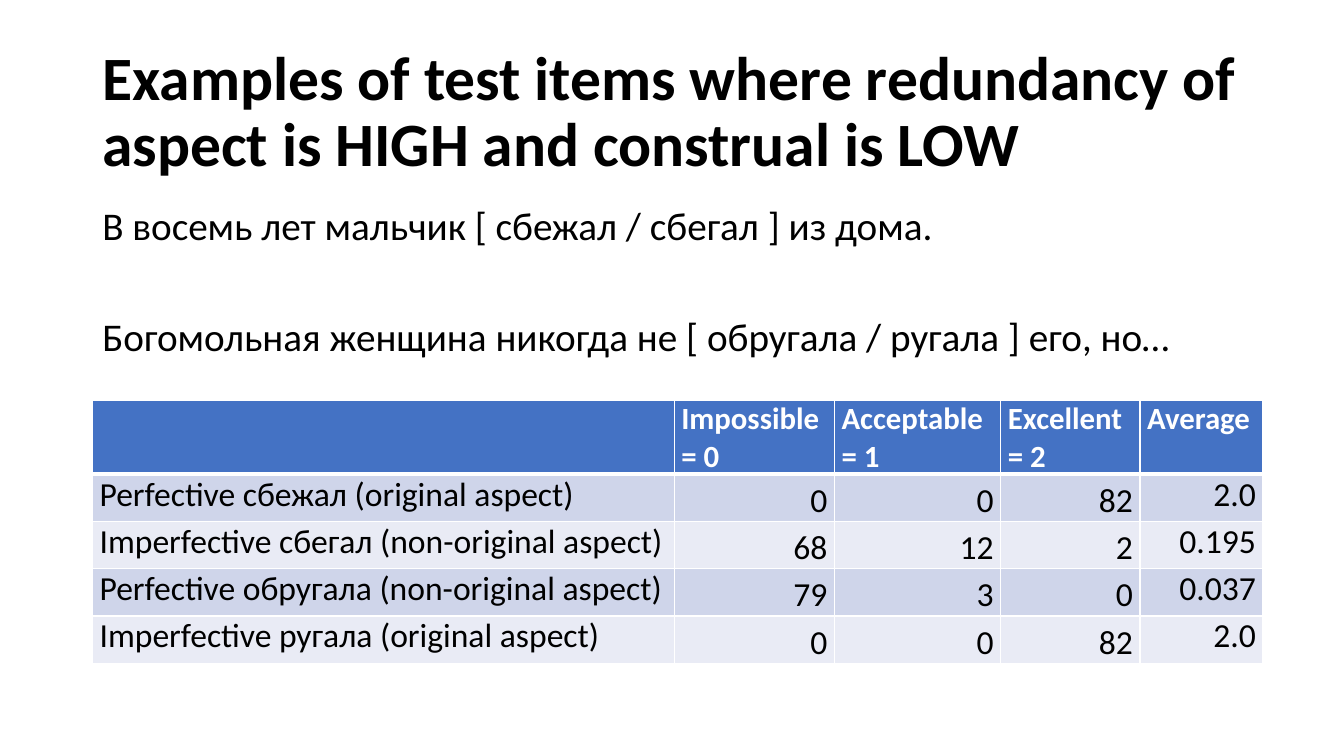
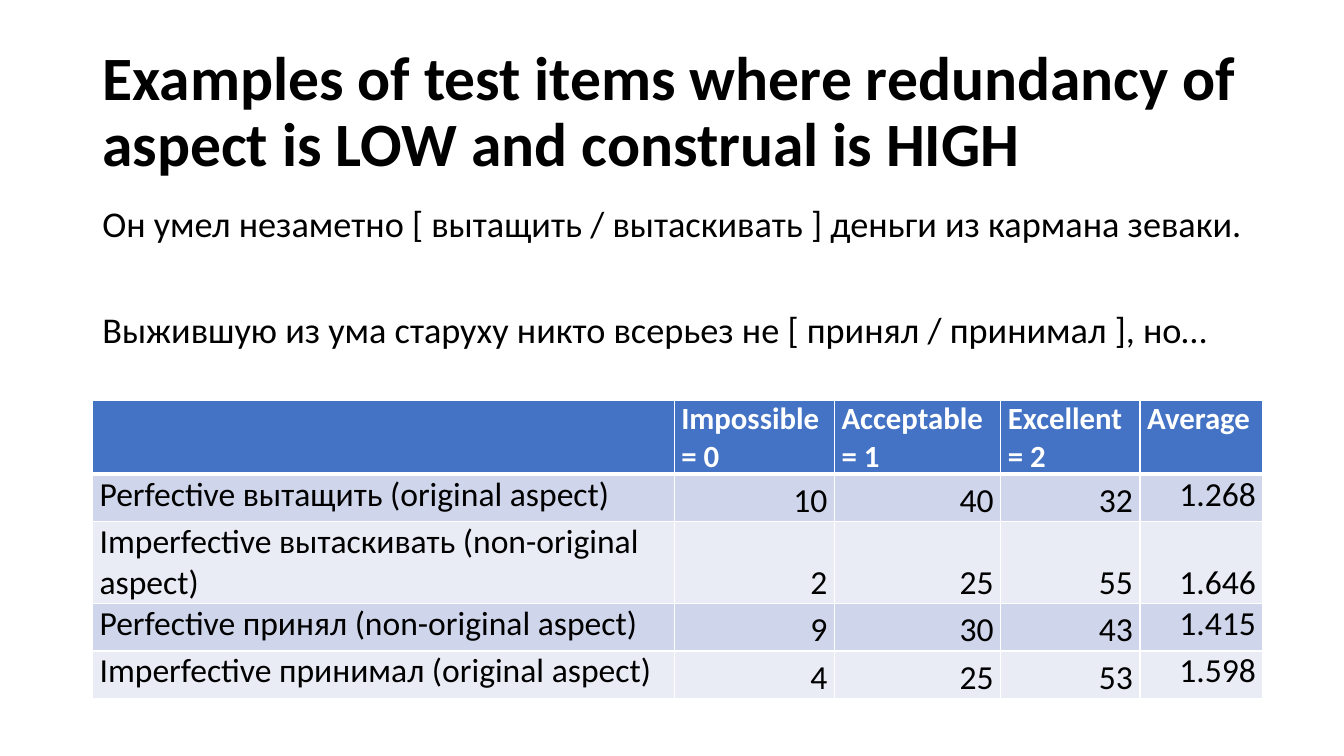
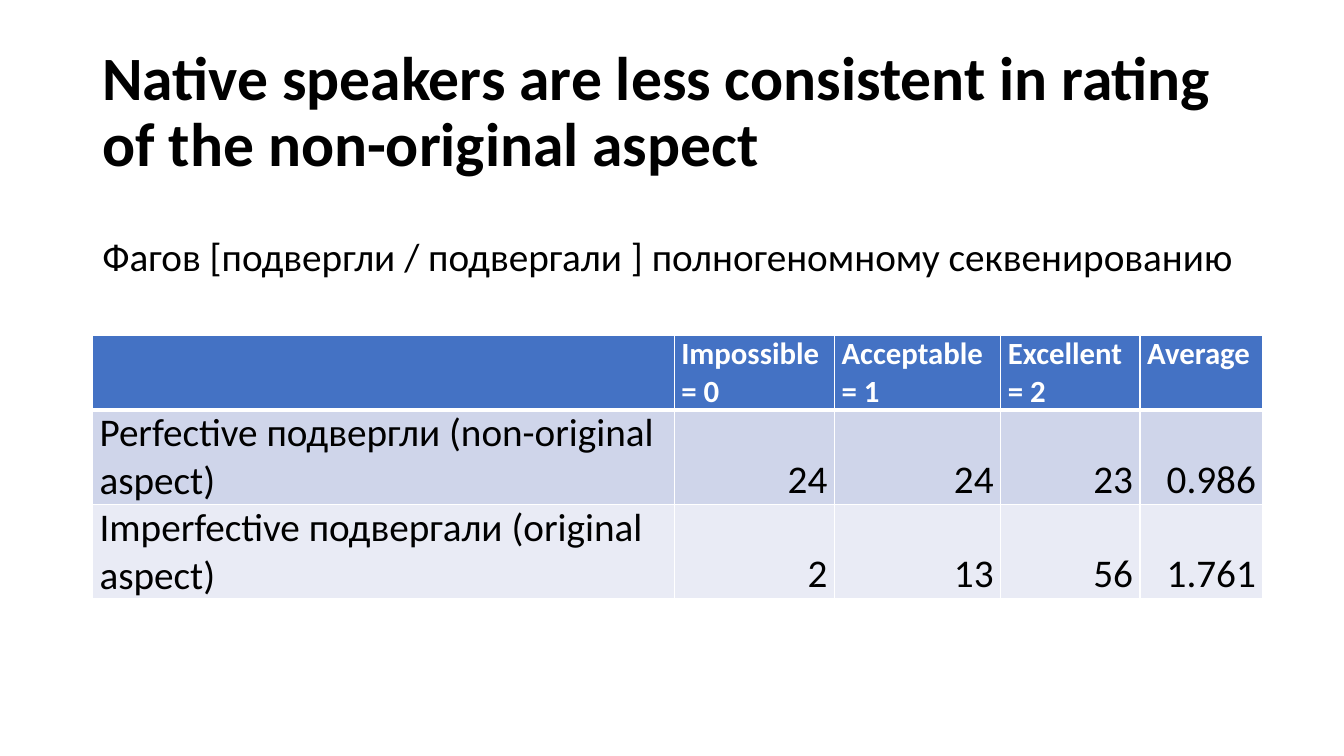
"""Build three slides of aspect rating examples, each with a title, sentences and a table."""
from dataclasses import dataclass

from lxml import etree
from pptx import Presentation
from pptx.dml.color import RGBColor
from pptx.enum.text import MSO_ANCHOR, PP_ALIGN
from pptx.oxml.ns import qn
from pptx.slide import Slide
from pptx.table import _Cell
from pptx.text.text import _Paragraph
from pptx.util import Cm, Pt

TOP, MIDDLE, BOTTOM = MSO_ANCHOR.TOP, MSO_ANCHOR.MIDDLE, MSO_ANCHOR.BOTTOM
LEFT, RIGHT = PP_ALIGN.LEFT, PP_ALIGN.RIGHT

FONT = "Calibri"
COLORS = {
    "text": "000000",
    "white": "FFFFFF",
    "header": "4472C4",
    "band_dark": "CFD5EA",
    "band_light": "E9EBF5",
}
MARGIN_LEFT = 2.33
COLUMN_WIDTHS = (14.66, 4.04, 4.19, 3.51, 3.1)
HEADINGS = ("", "Impossible = 0", "Acceptable = 1", "Excellent = 2", "Average")
HEADER_HEIGHT = 1.86
HEADER_SIZE = 22
THIN, THICK = 1, 3


@dataclass(frozen=True)
class TextStyle:
    """Size, weight, colour and alignment of a piece of text."""

    size: float
    bold: bool = False
    color: str = "text"
    align: PP_ALIGN = LEFT


@dataclass(frozen=True)
class TextBlock:
    """Paragraphs in a box, with the gap before each later paragraph in points."""

    top: float
    width: float
    height: float
    paragraphs: tuple[str, ...]
    style: TextStyle
    gap: float = 0
    anchor: MSO_ANCHOR = TOP


@dataclass(frozen=True)
class RatingRow:
    """Label, counts and average of one verb form."""

    label: str
    counts: tuple[int, int, int]
    average: str
    height: float = 1.19
    average_anchor: MSO_ANCHOR = TOP


@dataclass(frozen=True)
class RatingTable:
    """Place, text size and rows of a rating table."""

    top: float
    size: float
    rows: tuple[RatingRow, ...]


@dataclass(frozen=True)
class ExamplePage:
    """Everything that differs between the pages."""

    title: str
    sentences: TextBlock
    ratings: RatingTable


PAGES = (
    ExamplePage(
        "Examples of test items where redundancy of aspect is HIGH and construal is LOW",
        TextBlock(5.08, 29.21, 4.65, (
            "В восемь лет мальчик [ сбежал / сбегал ] из дома.",
            "Богомольная женщина никогда не [ обругала / ругала ] его, но…",
        ), TextStyle(28), gap=49.3),
        RatingTable(10.09, 24, (
            RatingRow("Perfective сбежал (original aspect)", (0, 0, 82), "2.0"),
            RatingRow("Imperfective сбегал (non-original aspect)", (68, 12, 2), "0.195"),
            RatingRow("Perfective обругала (non-original aspect)", (79, 3, 0), "0.037"),
            RatingRow("Imperfective ругала (original aspect)", (0, 0, 82), "2.0"),
        )),
    ),
    ExamplePage(
        "Examples of test items where redundancy of aspect is LOW and construal is HIGH",
        TextBlock(5.08, 29.97, 4.65, (
            "Он умел незаметно [ вытащить / вытаскивать ] деньги из кармана зеваки.",
            "Выжившую из ума старуху никто всерьез не [ принял / принимал ], но…",
        ), TextStyle(25.9), gap=47.3),
        RatingTable(10.09, 24, (
            RatingRow("Perfective вытащить (original aspect)", (10, 40, 32), "1.268"),
            RatingRow("Imperfective вытаскивать (non-original aspect)", (2, 25, 55),
                      "1.646", 2.07, BOTTOM),
            RatingRow("Perfective принял (non-original aspect)", (9, 30, 43), "1.415"),
            RatingRow("Imperfective принимал (original aspect)", (4, 25, 53), "1.598"),
        )),
    ),
    ExamplePage(
        "Native speakers are less consistent in rating of the non-original aspect",
        TextBlock(5.87, 29.97, 2.44, (
            "Фагов [подвергли / подвергали ] полногеномному секвенированию",
        ), TextStyle(28)),
        RatingTable(8.46, 28, (
            RatingRow("Perfective подвергли (non-original aspect)", (24, 24, 23),
                      "0.986", 2.38, BOTTOM),
            RatingRow("Imperfective подвергали (original aspect)", (2, 13, 56),
                      "1.761", 2.38, BOTTOM),
        )),
    ),
)


def style_paragraph(para: _Paragraph, style: TextStyle) -> None:
    """Apply a text style to a paragraph and its runs."""
    para.alignment = style.align
    for span in para.runs:
        span.font.name = FONT
        span.font.size = Pt(style.size)
        span.font.bold = style.bold
        span.font.color.rgb = RGBColor.from_string(COLORS[style.color])


def add_text(page: Slide, block: TextBlock) -> None:
    """Add a wrapped text box at the shared left margin."""
    box = page.shapes.add_textbox(
        Cm(MARGIN_LEFT), Cm(block.top), Cm(block.width), Cm(block.height))
    frame = box.text_frame
    frame.word_wrap = True
    frame.vertical_anchor = block.anchor
    frame.text = "\n".join(block.paragraphs)
    for index, para in enumerate(frame.paragraphs):
        para.line_spacing = 0.9
        para.space_before = Pt(block.gap if index else 0)
        style_paragraph(para, block.style)


def set_borders(cell: _Cell, top: float, bottom: float) -> None:
    """Draw white borders with the given top and bottom widths in points."""
    properties = cell._tc.get_or_add_tcPr()
    widths = {"a:lnL": THIN, "a:lnR": THIN, "a:lnT": top, "a:lnB": bottom}
    for index, (tag, width) in enumerate(widths.items()):
        line = etree.Element(qn(tag), w=str(Pt(width)))
        fill = etree.SubElement(line, qn("a:solidFill"))
        etree.SubElement(fill, qn("a:srgbClr"), val=COLORS["white"])
        properties.insert(index, line)


def fill_cell(cell: _Cell, text: str, fill: str, style: TextStyle, anchor: MSO_ANCHOR) -> None:
    """Set the text, fill and margins of a table cell."""
    cell.margin_left = cell.margin_right = Cm(0.18)
    cell.margin_top = cell.margin_bottom = 0
    cell.vertical_anchor = anchor
    cell.fill.solid()
    cell.fill.fore_color.rgb = RGBColor.from_string(COLORS[fill])
    cell.text_frame.text = text
    style_paragraph(cell.text_frame.paragraphs[0], style)


def add_ratings(page: Slide, ratings: RatingTable) -> None:
    """Add a rating table with a header row and banded rows."""
    heights = [HEADER_HEIGHT, *(row.height for row in ratings.rows)]
    table = page.shapes.add_table(
        len(heights), len(HEADINGS), Cm(MARGIN_LEFT), Cm(ratings.top),
        Cm(sum(COLUMN_WIDTHS)), Cm(sum(heights))).table
    for column, width in zip(table.columns, COLUMN_WIDTHS):
        column.width = Cm(width)
    for table_row, height in zip(table.rows, heights):
        table_row.height = Cm(height)

    header_style = TextStyle(HEADER_SIZE, bold=True, color="white")
    for column, heading in enumerate(HEADINGS):
        cell = table.cell(0, column)
        fill_cell(cell, heading, "header", header_style, TOP)
        set_borders(cell, THIN, THICK)

    label_style = TextStyle(ratings.size)
    number_style = TextStyle(ratings.size, align=RIGHT)
    for index, row in enumerate(ratings.rows, start=1):
        fill = "band_dark" if index % 2 else "band_light"
        entries = [
            (row.label, label_style, TOP),
            *((str(count), number_style, BOTTOM) for count in row.counts),
            (row.average, number_style, row.average_anchor),
        ]
        for column, (text, style, anchor) in enumerate(entries):
            cell = table.cell(index, column)
            fill_cell(cell, text, fill, style, anchor)
            set_borders(cell, THICK if index == 1 else THIN, THIN)


def main() -> None:
    """Build and save the deck."""
    deck = Presentation()
    deck.slide_width, deck.slide_height = Cm(33.87), Cm(19.05)
    blank = deck.slide_layouts[6]
    title_style = TextStyle(44, bold=True)
    for example in PAGES:
        page = deck.slides.add_slide(blank)
        add_text(page, TextBlock(
            1.02, 29.21, 3.68, (example.title,), title_style, anchor=MIDDLE))
        add_text(page, example.sentences)
        add_ratings(page, example.ratings)
    deck.save("out.pptx")


main()
